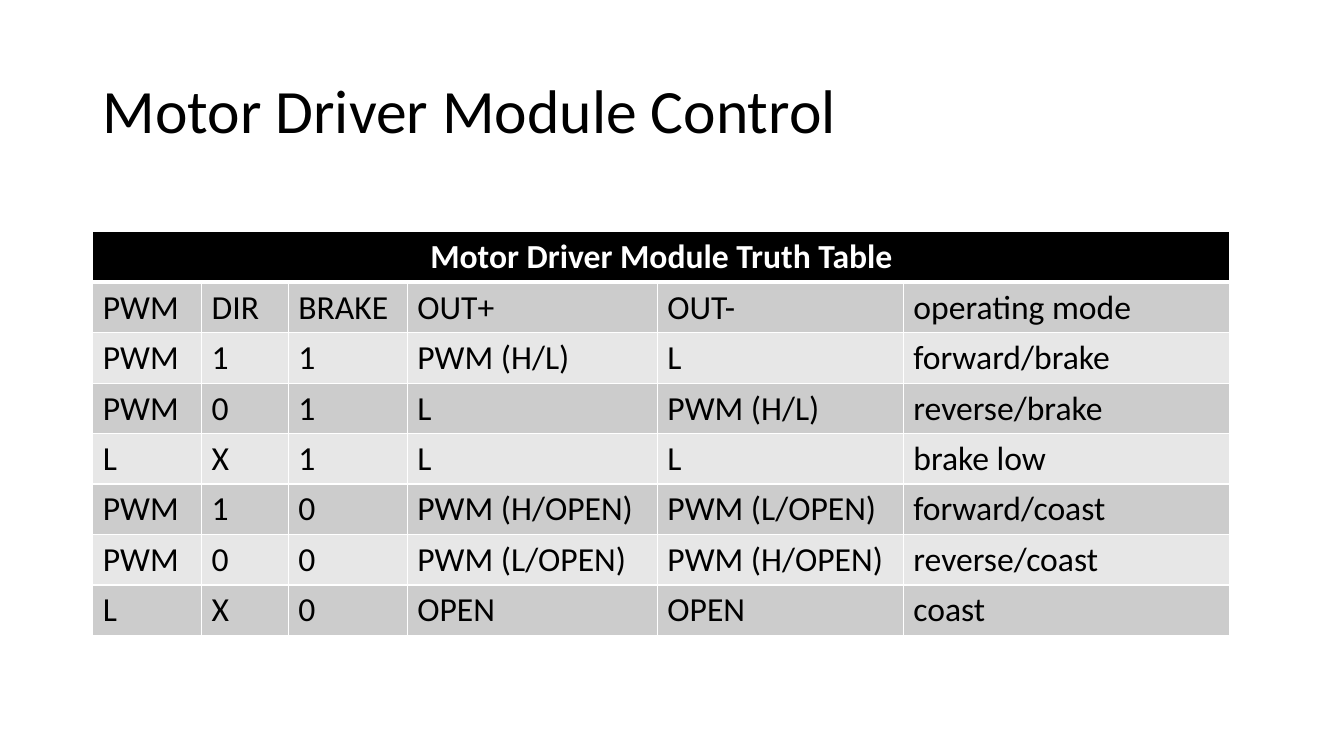
from lxml.etree import SubElement
from pptx import Presentation
from pptx.dml.color import RGBColor
from pptx.enum.text import MSO_ANCHOR, PP_ALIGN
from pptx.oxml.ns import qn
from pptx.util import Inches, Pt

FONT = "Calibri"
COLORS = {
    "text": "000000",
    "header": "000000",
    "header_text": "FFFFFF",
    "border": "FFFFFF",
    "dark_band": "CCCCCC",
    "light_band": "E7E7E7",
}
TABLE_TITLE = "Motor Driver Module Truth Table"
TRUTH_TABLE = [
    ["PWM", "DIR", "BRAKE", "OUT+", "OUT-", "operating mode"],
    ["PWM", "1", "1", "PWM (H/L)", "L", "forward/brake"],
    ["PWM", "0", "1", "L", "PWM (H/L)", "reverse/brake"],
    ["L", "X", "1", "L", "L", "brake low"],
    ["PWM", "1", "0", "PWM (H/OPEN)", "PWM (L/OPEN)", "forward/coast"],
    ["PWM", "0", "0", "PWM (L/OPEN)", "PWM (H/OPEN)", "reverse/coast"],
    ["L", "X", "0", "OPEN", "OPEN", "coast"],
]
COLUMN_WIDTHS = [1.08, 0.86, 1.18, 2.48, 2.44, 3.24]


def color(name):
    return RGBColor.from_string(COLORS[name])


def set_font(paragraph, size, color_name, bold=False):
    paragraph.font.name = FONT
    paragraph.font.size = Pt(size)
    paragraph.font.bold = bold
    paragraph.font.color.rgb = color(color_name)


def add_title(slide, left, top, width, height, text):
    box = slide.shapes.add_textbox(Inches(left), Inches(top), Inches(width), Inches(height))
    frame = box.text_frame
    frame.word_wrap = True
    frame.vertical_anchor = MSO_ANCHOR.MIDDLE
    paragraph = frame.paragraphs[0]
    paragraph.text = text
    paragraph.line_spacing = 0.9
    set_font(paragraph, 44, "text")


def set_borders(cell, top=1, bottom=1):
    """Draw all four cell borders; must run before the cell is filled."""
    properties = cell._tc.get_or_add_tcPr()
    for side, points in (("L", 1), ("R", 1), ("T", top), ("B", bottom)):
        line = SubElement(properties, qn(f"a:ln{side}"), w=str(Pt(points)))
        fill = SubElement(line, qn("a:solidFill"))
        SubElement(fill, qn("a:srgbClr"), val=COLORS["border"])


def fill_cell(cell, fill_name):
    cell.fill.solid()
    cell.fill.fore_color.rgb = color(fill_name)


def add_truth_table(slide, left, top, width, height):
    row_count = len(TRUTH_TABLE) + 1
    table = slide.shapes.add_table(
        row_count, len(COLUMN_WIDTHS),
        Inches(left), Inches(top), Inches(width), Inches(height),
    ).table
    for column, column_width in zip(table.columns, COLUMN_WIDTHS):
        column.width = Inches(column_width)

    header = table.cell(0, 0)
    header.merge(table.cell(0, len(COLUMN_WIDTHS) - 1))
    for cell in table.rows[0].cells:
        set_borders(cell, bottom=3)
        fill_cell(cell, "header")
    paragraph = header.text_frame.paragraphs[0]
    paragraph.text = TABLE_TITLE
    paragraph.alignment = PP_ALIGN.CENTER
    set_font(paragraph, 24, "header_text", bold=True)

    for row, values in enumerate(TRUTH_TABLE, start=1):
        band = "dark_band" if row % 2 else "light_band"
        for column, value in enumerate(values):
            cell = table.cell(row, column)
            set_borders(cell, top=3 if row == 1 else 1)
            fill_cell(cell, band)
            cell.vertical_anchor = MSO_ANCHOR.MIDDLE
            paragraph = cell.text_frame.paragraphs[0]
            paragraph.text = value
            set_font(paragraph, 24, "text")


def main():
    presentation = Presentation()
    presentation.slide_width = Inches(13.33)
    presentation.slide_height = Inches(7.5)
    slide = presentation.slides.add_slide(presentation.slide_layouts[6])
    add_title(slide, 0.92, 0.4, 11.5, 1.45, "Motor Driver Module Control")
    add_truth_table(slide, 0.92, 2.3, sum(COLUMN_WIDTHS), 4)
    presentation.save("out.pptx")


if __name__ == "__main__":
    main()
